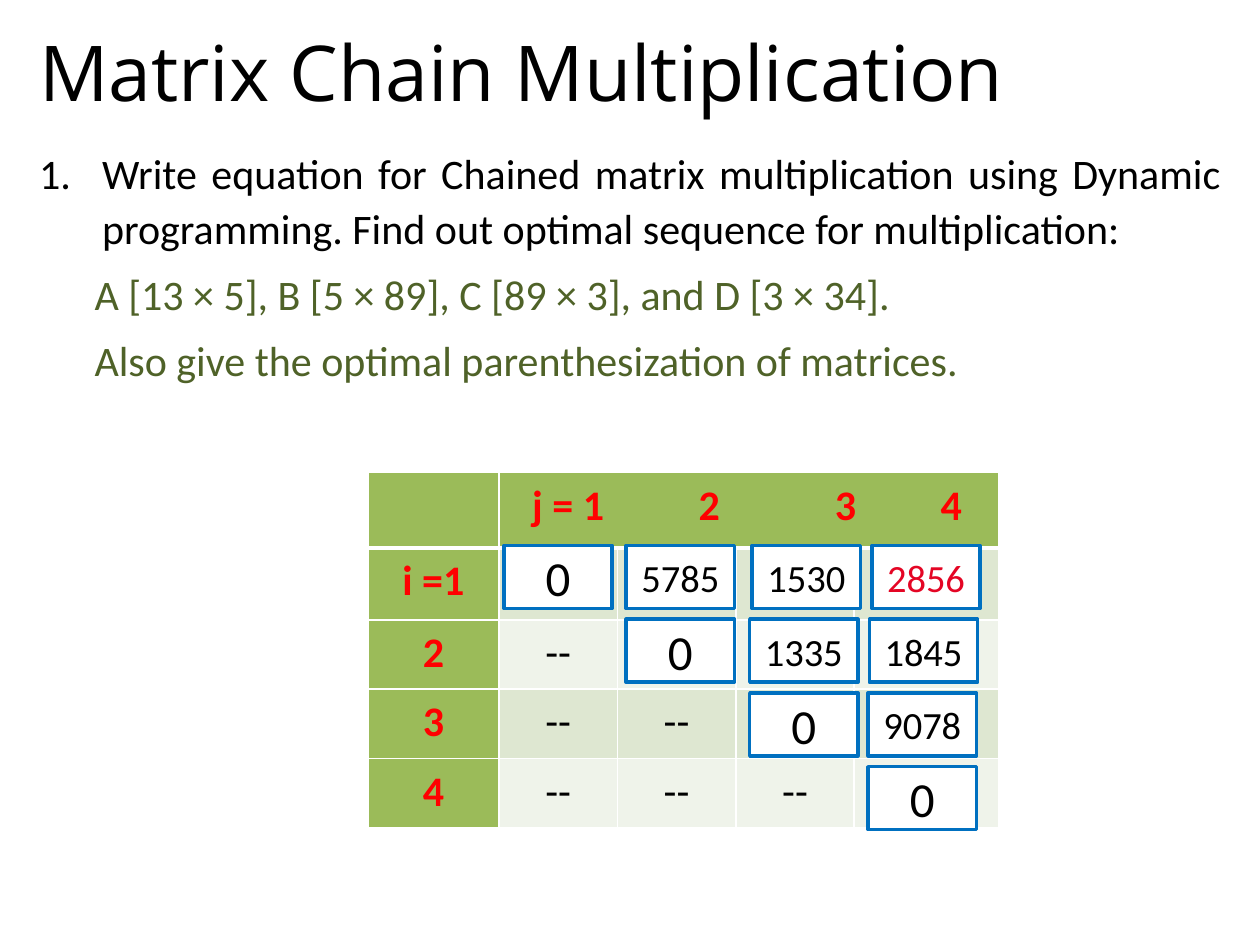
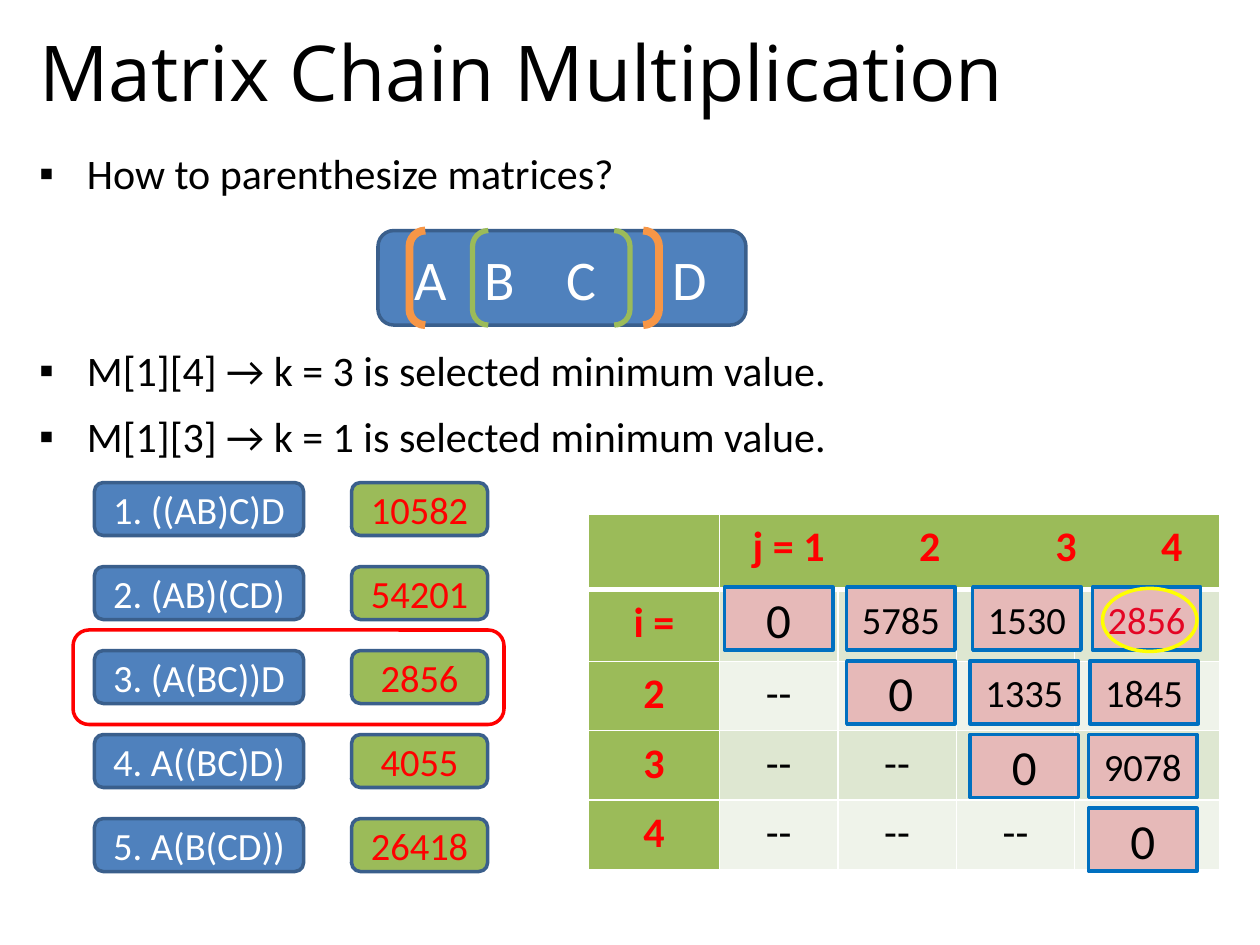
from lxml.etree import SubElement
from pptx import Presentation
from pptx.dml.color import RGBColor
from pptx.enum.shapes import MSO_SHAPE
from pptx.enum.text import MSO_ANCHOR, MSO_AUTO_SIZE, PP_ALIGN
from pptx.oxml.ns import qn
from pptx.util import Inches, Pt

COLORS = {
    "black": "000000",
    "white": "FFFFFF",
    "red": "FF0000",
    "crimson": "E40524",
    "olive": "4F6228",
    "green": "9BBB59",
    "dark_band": "DEE7D1",
    "light_band": "EFF3EA",
    "blue": "4F81BD",
    "navy": "3A5F8C",
    "cell_edge": "0070C0",
    "pink": "E6B9B8",
    "orange": "F79646",
    "yellow": "FFFF00",
}
TITLE_FONT, TEXT_FONT = "Open Sans", "Calibri"
COLUMN_WIDTHS = [1.04, 0.94, 0.94, 0.94, 1.15]
ROW_HEIGHTS = [0.6, 0.57, 0.55, 0.55, 0.55]
HEADER_TABS = [0.48, 1.6, 2.68, 3.52]
COSTS = [
    [(1.08, "0"), (2.05, "5785"), (3.05, "1530"), (4.0, "2856")],
    [(2.05, "0"), (3.03, "1335"), (3.98, "1845")],
    [(3.03, "0"), (3.97, "9078")],
    [(3.97, "0")],
]
ORDERS = [
    ("1. ((AB)C)D", "10582"),
    ("2. (AB)(CD)", "54201"),
    ("3. (A(BC))D", "2856"),
    ("4. A((BC)D)", "4055"),
    ("5. A(B(CD))", "26418"),
]


class MatrixDeck:
    """Holds the deck style and the slide being built."""

    def __init__(self):
        self.deck = Presentation()
        self.deck.slide_width = Inches(10)
        self.deck.slide_height = Inches(7.5)
        self.page = None

    def color(self, name):
        return RGBColor.from_string(COLORS[name])

    def place(self, shape, left, top, width, height):
        shape.left, shape.top = Inches(left), Inches(top)
        shape.width, shape.height = Inches(width), Inches(height)

    def style(self, para, size, color, font=TEXT_FONT, bold=False):
        para.font.size = Pt(size)
        para.font.name = font
        para.font.bold = bold
        para.font.color.rgb = self.color(color)

    def add_tabs(self, para, stops):
        tabs = SubElement(para._p.get_or_add_pPr(), qn("a:tabLst"))
        for stop in stops:
            SubElement(tabs, qn("a:tab"), pos=str(Inches(stop)), algn="ctr")

    def add_page(self, title):
        self.page = self.deck.slides.add_slide(self.deck.slide_layouts[1])
        box = self.page.shapes.title
        self.place(box, 0.21, 0.12, 9.58, 0.88)
        box.text_frame.text = title
        box.text_frame.auto_size = MSO_AUTO_SIZE.NONE
        box.text_frame.vertical_anchor = MSO_ANCHOR.MIDDLE
        para = box.text_frame.paragraphs[0]
        para.alignment = PP_ALIGN.LEFT
        self.style(para, 44, "black", TITLE_FONT)

    def add_body(self):
        box = self.page.placeholders[1]
        self.place(box, 0.21, 1.08, 9.58, 5.83)
        box.text_frame.auto_size = MSO_AUTO_SIZE.NONE
        return box.text_frame

    def add_item(self, frame, text, bullet=None, indent=0.44, color="black", before=0):
        para = frame.paragraphs[0] if not frame.text else frame.add_paragraph()
        para.text = text
        props = para._p.get_or_add_pPr()
        props.set("marL", str(Inches(indent)))
        props.set("indent", str(-Inches(indent) if bullet else 0))
        if bullet == "number":
            SubElement(props, qn("a:buFont"), typeface=TEXT_FONT)
            SubElement(props, qn("a:buAutoNum"), type="arabicPeriod")
        elif bullet:
            SubElement(props, qn("a:buFont"), typeface="Arial")
            SubElement(props, qn("a:buChar"), char=bullet)
        else:
            para.level = 1
            SubElement(props, qn("a:buNone"))
        para.alignment = PP_ALIGN.JUSTIFY
        para.line_spacing = 1.1
        para.space_before, para.space_after = Pt(before), Pt(6)
        self.style(para, 24, color)

    def add_shape(self, kind, at, line, fill=None, weight=2):
        shape = self.page.shapes.add_shape(kind, *[Inches(value) for value in at])
        shape.shadow.inherit = False
        if fill:
            shape.fill.solid()
            shape.fill.fore_color.rgb = self.color(fill)
        else:
            shape.fill.background()
        shape.line.color.rgb = self.color(line)
        shape.line.width = Pt(weight)
        return shape

    def add_label(self, kind, at, text, size, color, fill, line, tabs=None):
        frame = self.add_shape(kind, at, line, fill).text_frame
        frame.margin_left = frame.margin_right = Inches(0.05)
        frame.word_wrap = True
        frame.vertical_anchor = MSO_ANCHOR.MIDDLE
        para = frame.paragraphs[0]
        para.text = text
        para.alignment = PP_ALIGN.LEFT if tabs else PP_ALIGN.CENTER
        if tabs:
            self.add_tabs(para, tabs)
        self.style(para, size, color)

    def add_borders(self, cell, bottom):
        props = cell._tc.get_or_add_tcPr()
        weights = {"a:lnL": 1, "a:lnR": 1, "a:lnT": 1, "a:lnB": bottom}
        for index, (side, weight) in enumerate(weights.items()):
            border = props.makeelement(qn(side), {"w": str(Pt(weight))})
            fill = SubElement(border, qn("a:solidFill"))
            SubElement(fill, qn("a:srgbClr"), val=COLORS["white"])
            props.insert(index, border)

    def fill_cell(self, cell, text, color, bold, tabs=None):
        cell.margin_left = cell.margin_right = Inches(0.07)
        cell.margin_top = cell.margin_bottom = 0
        para = cell.text_frame.paragraphs[0]
        para.text = text
        para.alignment = PP_ALIGN.LEFT if tabs else PP_ALIGN.CENTER
        if tabs:
            self.add_tabs(para, tabs)
        para.line_spacing = 1.15
        self.style(para, 24, color, bold=bold)

    def add_cost_table(self, left, top, first_label, cost_fill):
        count = len(COLUMN_WIDTHS)
        frame = self.page.shapes.add_table(
            count, count, Inches(left), Inches(top),
            Inches(sum(COLUMN_WIDTHS)), Inches(sum(ROW_HEIGHTS)))
        table = frame.table
        table.first_row = table.horz_banding = False
        for column, width in zip(table.columns, COLUMN_WIDTHS):
            column.width = Inches(width)
        for row, height in zip(table.rows, ROW_HEIGHTS):
            row.height = Inches(height)
        labels = ["", first_label, "2", "3", "4"]
        for row in range(count):
            band = "dark_band" if row % 2 else "light_band"
            for column in range(count):
                cell = table.cell(row, column)
                heading = row == 0 or column == 0
                cell.fill.solid()
                cell.fill.fore_color.rgb = self.color("green" if heading else band)
                self.add_borders(cell, 1 if row else 3)
                text = labels[row] if column == 0 else "--" if column < row else ""
                self.fill_cell(cell, text, "red" if heading else "black", heading)
        header = table.cell(0, 1)
        header.merge(table.cell(0, count - 1))
        self.fill_cell(header, "\tj = 1\t2\t3\t4", "red", True, HEADER_TABS)
        for row, costs in enumerate(COSTS):
            for offset, cost in costs:
                at = (left + offset, top + 0.58 + row * 0.585, 0.86, 0.5)
                self.add_label(
                    MSO_SHAPE.RECTANGLE, at, cost, 28 if cost == "0" else 22,
                    "crimson" if cost == "2856" else "black", cost_fill, "cell_edge")

    def add_orders(self):
        for index, (order, cost) in enumerate(ORDERS):
            top = 3.83 + index * 2 / 3
            self.add_label(MSO_SHAPE.ROUNDED_RECTANGLE, (0.75, top, 1.66, 0.42),
                           order, 22, "white", "blue", "navy")
            self.add_label(MSO_SHAPE.ROUNDED_RECTANGLE, (2.79, top, 1.08, 0.42),
                           cost, 22, "red", "green", "navy")


def main():
    show = MatrixDeck()
    title = "Matrix Chain Multiplication"

    show.add_page(title)
    body = show.add_body()
    show.add_item(
        body, "Write equation for Chained matrix multiplication using Dynamic "
        "programming. Find out optimal sequence for multiplication:", "number", 0.5)
    for text in ("A [13 × 5], B [5 × 89], C [89 × 3], and D [3 × 34].",
                 "Also give the optimal parenthesization of matrices."):
        show.add_item(body, text, color="olive")
    show.add_cost_table(2.92, 3.75, "i =1", "white")

    show.add_page(title)
    body = show.add_body()
    show.add_item(body, "How to parenthesize matrices?", "▪", 0.38)
    show.add_item(body, "M[1][4] → k = 3 is selected minimum value.", "▪", 0.38, before=75)
    show.add_item(body, "M[1][3] → k = 1 is selected minimum value.", "▪", 0.38)
    show.add_label(MSO_SHAPE.ROUNDED_RECTANGLE, (3, 1.83, 2.92, 0.75), "\tA\tB\tC\tD",
                   32, "white", "blue", "navy", [0.33, 0.88, 1.53, 2.39])
    show.add_shape(MSO_SHAPE.DOUBLE_BRACKET, (3.25, 1.83, 1.98, 0.75), "orange", weight=4.5)
    show.add_shape(MSO_SHAPE.DOUBLE_BRACKET, (3.75, 1.83, 1.25, 0.75), "green", weight=3)
    show.add_orders()
    show.add_shape(MSO_SHAPE.ROUNDED_RECTANGLE, (0.58, 5, 3.42, 0.75), "red")
    show.add_cost_table(4.67, 4.08, "i =", "pink")
    show.add_shape(MSO_SHAPE.OVAL, (8.75, 4.67, 0.75, 0.5), "yellow")

    show.deck.save("out.pptx")


if __name__ == "__main__":
    main()
